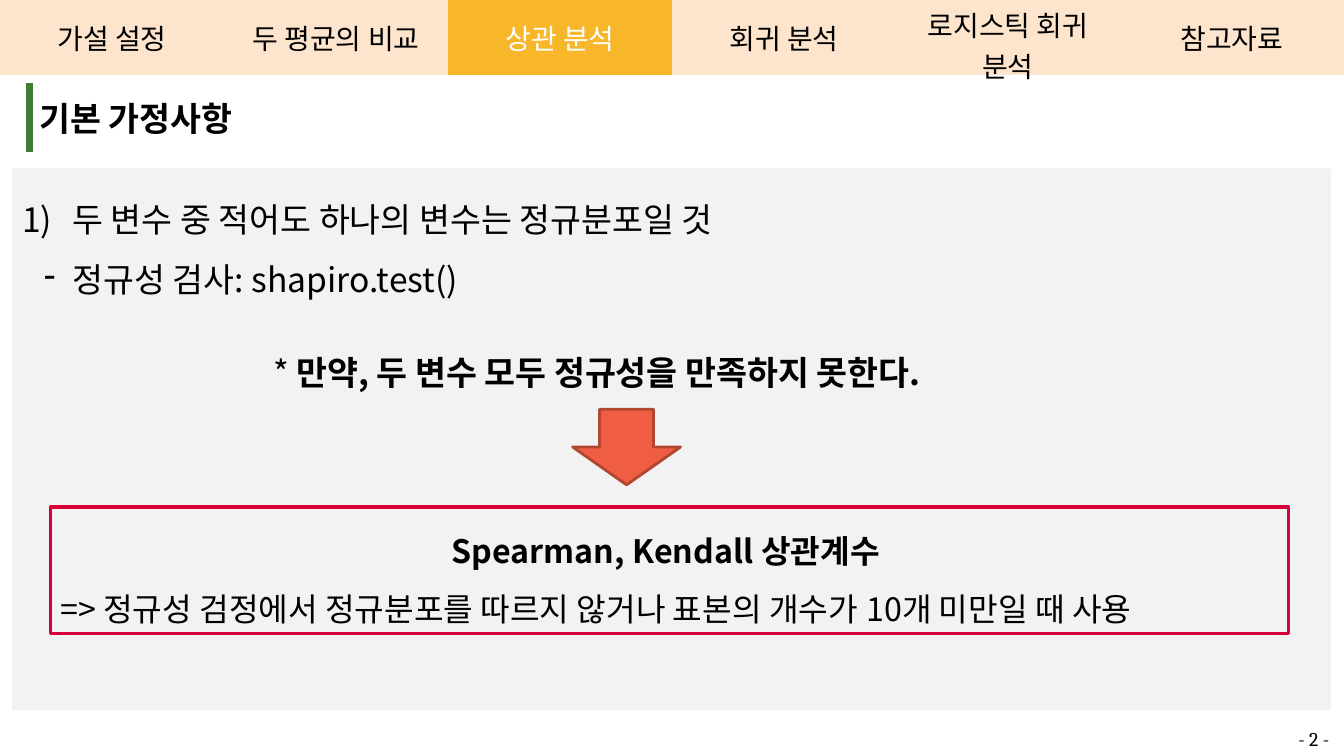
from dataclasses import dataclass
from typing import Optional

from pptx import Presentation
from pptx.dml.color import RGBColor
from pptx.enum.shapes import MSO_SHAPE as Shape
from pptx.enum.text import MSO_ANCHOR as Anchor, PP_ALIGN as Align
from pptx.oxml.xmlchemy import OxmlElement as Element
from pptx.util import Inches, Pt


@dataclass(frozen=True)
class Theme:
    font: str = "Noto Sans CJK KR"
    number_font: str = "Cambria"
    black: str = "000000"
    white: str = "FFFFFF"
    tab: str = "FCE5CC"
    active_tab: str = "F8B62A"
    panel: str = "F2F2F2"
    green: str = "3E7D33"
    arrow: str = "EF5E42"
    arrow_line: str = "B14631"
    frame: str = "D70139"
    tab_size: float = 20
    body_size: float = 24
    result_size: float = 23
    number_size: float = 14


@dataclass(frozen=True)
class Box:
    left: float
    top: float
    width: float
    height: float

    def lengths(self) -> tuple:
        return tuple(Inches(v) for v in (self.left, self.top, self.width, self.height))


@dataclass(frozen=True)
class Span:
    text: str
    size: float
    bold: bool = False
    color: str = "000000"
    font: str = "Noto Sans CJK KR"


@dataclass(frozen=True)
class Para:
    spans: tuple
    align: Align = Align.LEFT
    spacing: Optional[float] = None
    bullet: str = ""
    hanging: float = 0


THEME = Theme()
BULLET_INDENT = 0.5
TABS = ("가설 설정", "두 평균의 비교", "상관 분석", "회귀 분석", "로지스틱 회귀 분석", "참고자료")
ACTIVE_TAB = "상관 분석"


def rgb(color: str) -> RGBColor:
    return RGBColor.from_string(color)


def add_bullet(paragraph, para: Para) -> None:
    properties = paragraph._p.get_or_add_pPr()
    properties.set("marL", str(Inches(BULLET_INDENT)))
    properties.set("indent", str(-Inches(para.hanging)))
    numbered = para.bullet == "1)"
    bullet = Element("a:buAutoNum" if numbered else "a:buChar")
    bullet.set("type" if numbered else "char", "arabicParenR" if numbered else para.bullet)
    properties.append(bullet)


def write(frame, *paras: Para) -> None:
    for index, para in enumerate(paras):
        paragraph = frame.add_paragraph() if index else frame.paragraphs[0]
        paragraph.alignment = para.align
        if para.spacing:
            paragraph.line_spacing = para.spacing
        if para.bullet:
            add_bullet(paragraph, para)
        for span in para.spans:
            run = paragraph.add_run()
            run.text = span.text
            run.font.size = Pt(span.size)
            run.font.bold = span.bold
            run.font.color.rgb = rgb(span.color)
            run.font.name = span.font
            east_asian = Element("a:ea")
            east_asian.set("typeface", span.font)
            run.font._element.append(east_asian)


def add_shape(slide, kind: Shape, box: Box, fill: str = "", line: str = "", weight: float = 0):
    shape = slide.shapes.add_shape(kind, *box.lengths())
    shape.shadow.inherit = False
    if fill:
        shape.fill.solid()
        shape.fill.fore_color.rgb = rgb(fill)
    else:
        shape.fill.background()
    if line:
        shape.line.color.rgb = rgb(line)
        shape.line.width = Pt(weight)
    else:
        shape.line.fill.background()
    return shape


def add_text(slide, box: Box, para: Para, wrap: bool = True) -> None:
    frame = slide.shapes.add_textbox(*box.lengths()).text_frame
    frame.word_wrap = wrap
    write(frame, para)


def add_plain_table(slide, box: Box, columns: int):
    table = slide.shapes.add_table(1, columns, *box.lengths()).table
    table.first_row = table.horz_banding = False
    # "No Style, No Grid" keeps the cells free of borders
    table._tbl.tblPr.find("{*}tableStyleId").text = "{2D5ABB26-0587-4C30-8999-92F81FD0307C}"
    return table


def set_margins(cell, margin: float) -> None:
    cell.margin_left = cell.margin_right = Inches(margin)
    cell.margin_top = cell.margin_bottom = Inches(margin)


def add_left_border(cell, color: str, weight: float) -> None:
    border = Element("a:lnL")
    border.set("w", str(Pt(weight)))
    fill = Element("a:solidFill")
    value = Element("a:srgbClr")
    value.set("val", color)
    fill.append(value)
    border.append(fill)
    cell._tc.get_or_add_tcPr().insert(0, border)


def main() -> None:
    deck = Presentation()
    deck.slide_width, deck.slide_height = Inches(13.33), Inches(7.5)
    page = deck.slides.add_slide(deck.slide_layouts[6])
    body = THEME.body_size

    # Grey panel with the assumption
    panel = add_shape(page, Shape.RECTANGLE, Box(0.12, 1.67, 13.08, 5.38), THEME.panel).text_frame
    panel.vertical_anchor = Anchor.TOP
    panel.margin_top = Inches(0.1)
    write(
        panel,
        Para((Span("두 변수 중 적어도 하나의 변수는 정규분포일 것", body),),
             spacing=1.5, bullet="1)", hanging=0.5),
        Para((Span("정규성 검사: shapiro.test()", body),),
             spacing=1.5, bullet="-", hanging=0.28),
    )

    # Section title with a green edge
    title = add_plain_table(page, Box(0.29, 0.82, 12.92, 0.43), 1).cell(0, 0)
    set_margins(title, 0.1)
    title.fill.background()
    add_left_border(title, THEME.green, 6)
    write(title.text_frame, Para((Span("기본 가정사항", body, True),)))

    # Page number
    number = Span("- 2 -", THEME.number_size, font=THEME.number_font)
    add_text(page, Box(12.78, 7.16, 0.55, 0.34), Para((number,)), wrap=False)

    # Navigation tabs
    tabs = add_plain_table(page, Box(0, 0, 13.33, 0.52), len(TABS))
    for cell, name in zip(tabs.iter_cells(), TABS):
        active = name == ACTIVE_TAB
        set_margins(cell, 0.04)
        cell.vertical_anchor = Anchor.MIDDLE
        cell.fill.solid()
        cell.fill.fore_color.rgb = rgb(THEME.active_tab if active else THEME.tab)
        color = THEME.white if active else THEME.black
        write(cell.text_frame, Para((Span(name, THEME.tab_size, color=color),), Align.CENTER))

    # Condition and the arrow to its consequence
    add_shape(page, Shape.DOWN_ARROW, Box(5.68, 4.06, 1.07, 0.75),
              THEME.arrow, THEME.arrow_line, 2)
    condition = Span("만약, 두 변수 모두 정규성을 만족하지 못한다.", body, True)
    add_text(page, Box(2.61, 3.44, 8.1, 0.5), Para((Span("* ", body), condition)))

    # Framed result
    result = add_shape(page, Shape.RECTANGLE, Box(0.5, 5.03, 12.28, 1.26),
                       line=THEME.frame, weight=2.25).text_frame
    result.vertical_anchor = Anchor.TOP
    size = THEME.result_size
    usage = "=> 정규성 검정에서 정규분포를 따르지 않거나 표본의 개수가 10개 미만일 때 사용"
    write(
        result,
        Para((Span("Spearman, Kendall 상관계수 ", size, True),), Align.CENTER, 1.5),
        Para((Span(usage, size),), spacing=1.5),
    )

    deck.save("out.pptx")


if __name__ == "__main__":
    main()
